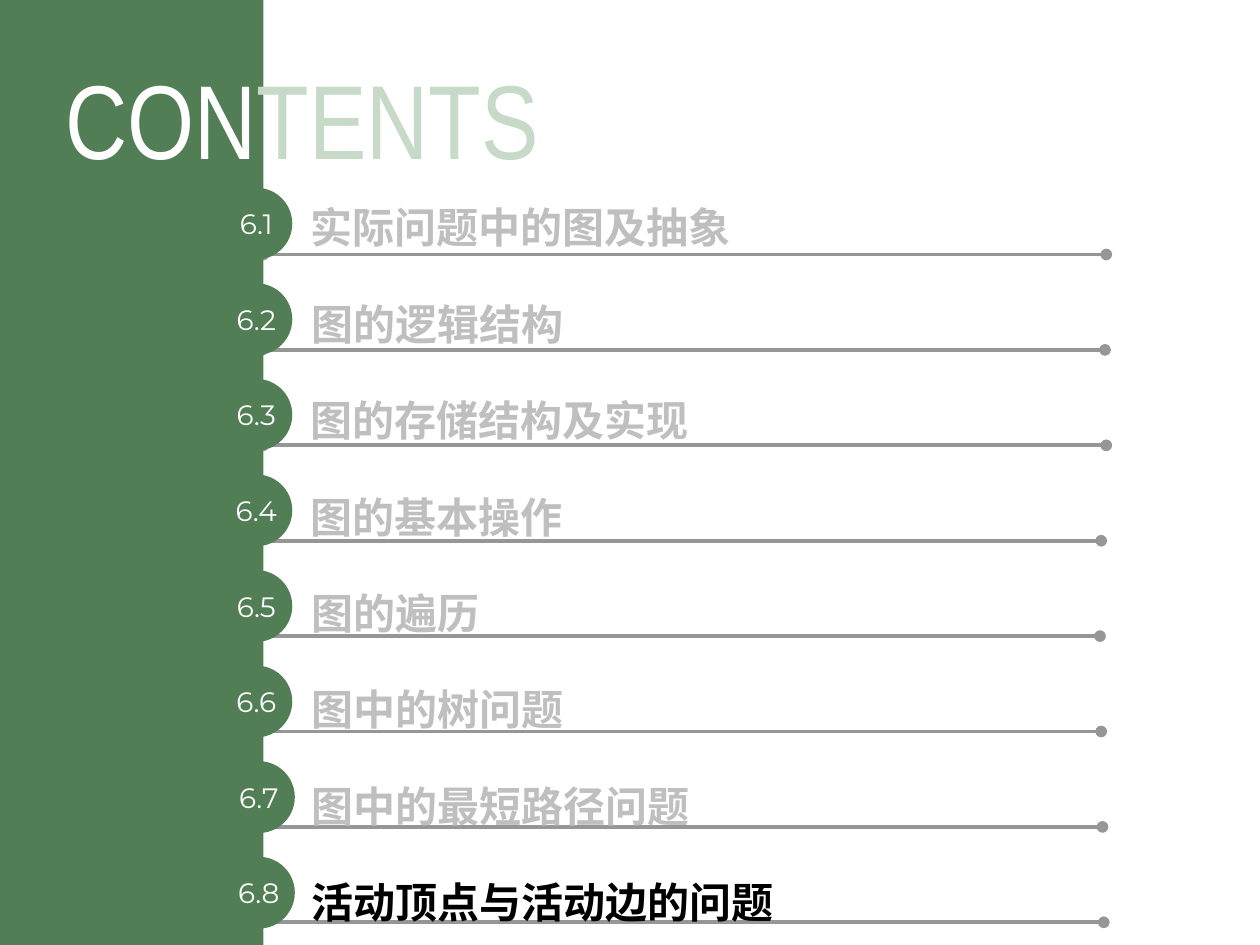
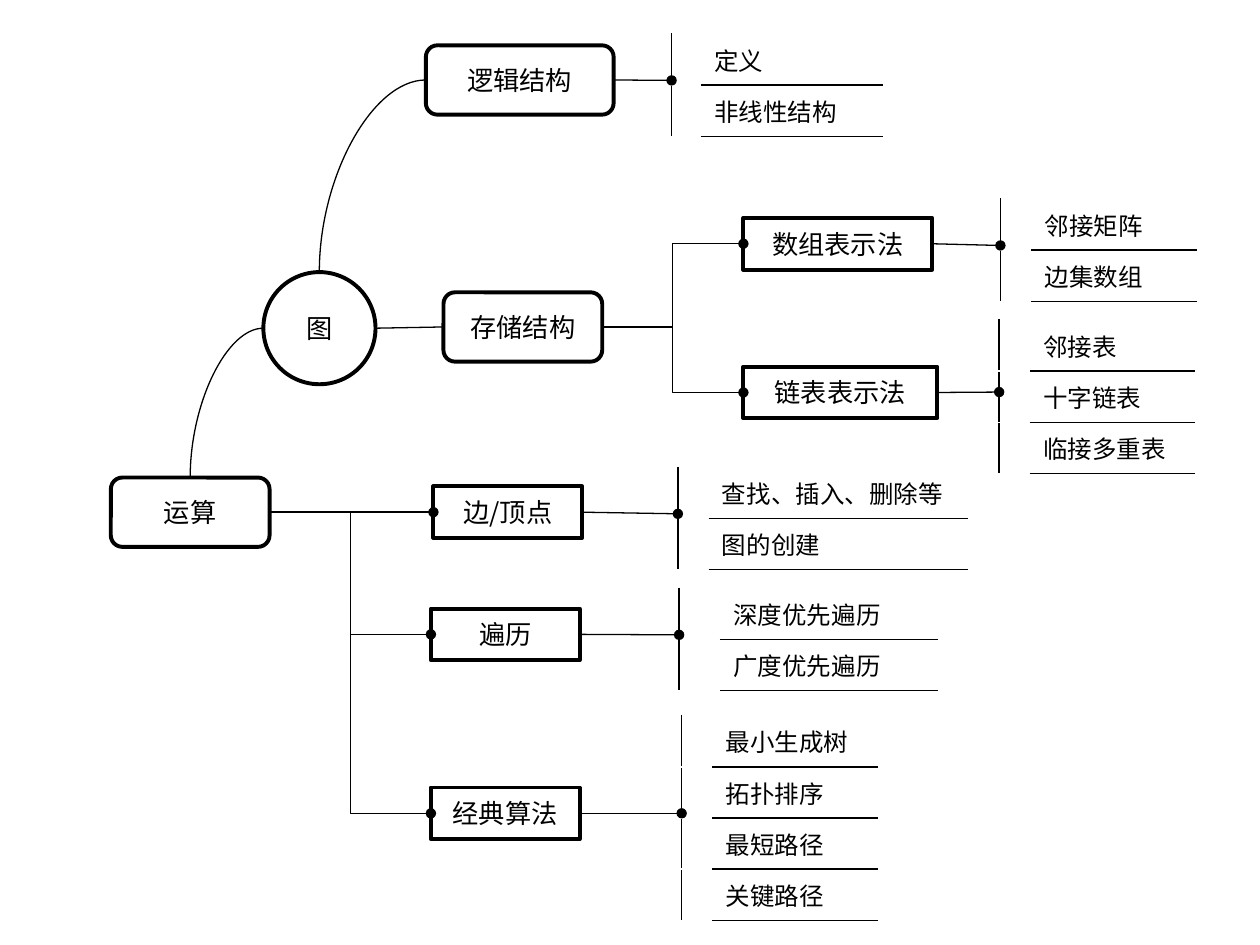
"""Build two slides on graphs: a contents page and a mind map of the chapter."""
import pptx
import pptx.dml.color
import pptx.enum.shapes
import pptx.enum.text
import pptx.oxml
import pptx.oxml.ns
import pptx.util

Inches = pptx.util.Inches
SHAPE = pptx.enum.shapes.MSO_SHAPE
CONNECTOR = pptx.enum.shapes.MSO_CONNECTOR
ALIGN = pptx.enum.text.PP_ALIGN
MIDDLE = pptx.enum.text.MSO_ANCHOR.MIDDLE

COLORS = {"green": "527E56", "pale": "C7DAC8", "white": "FFFFFF",
          "black": "000000", "muted": "BFBFBF", "rule": "969696"}
HAN = "Noto Sans CJK SC"
ARIAL, COURIER = "Arial", "Courier New"

CHAPTERS = [
    ("6.1", "实际问题中的图及抽象", 3.56, 2.09),
    ("6.2", "图的逻辑结构", 2.55, 2.08),
    ("6.3", "图的存储结构及实现", 3.24, 2.09),
    ("6.4", "图的基本操作", 2.94, 2.05),
    ("6.5", "图的遍历", 4.11, 2.04),
    ("6.6", "图中的树问题", 4.31, 2.05),
    ("6.7", "图中的最短路径问题", 4.11, 2.06),
    ("6.8", "活动顶点与活动边的问题", 4.31, 2.07),
]
CURRENT = "6.8"

TOPICS = {
    "图": (SHAPE.OVAL, 2.09, 2.16, 0.89, 0.89),
    "存储结构": (SHAPE.ROUNDED_RECTANGLE, 3.52, 2.32, 1.26, 0.55),
    "逻辑结构": (SHAPE.ROUNDED_RECTANGLE, 3.38, 0.36, 1.49, 0.55),
    "运算": (SHAPE.ROUNDED_RECTANGLE, 0.88, 3.79, 1.26, 0.55),
    "边/顶点": (SHAPE.RECTANGLE, 3.44, 3.86, 1.18, 0.41),
    "遍历": (SHAPE.RECTANGLE, 3.42, 4.83, 1.18, 0.41),
    "经典算法": (SHAPE.RECTANGLE, 3.42, 6.25, 1.18, 0.41),
    "数组表示法": (SHAPE.RECTANGLE, 5.9, 1.73, 1.5, 0.41),
    "链表表示法": (SHAPE.RECTANGLE, 5.9, 2.91, 1.54, 0.41),
}
BRANCHES = [("存储结构", "数组表示法"), ("存储结构", "链表表示法"),
            ("运算", "边/顶点"), ("运算", "经典算法"), ("运算", "遍历")]
DETAILS = [
    ("边/顶点", 5.38, 3.71, (0.25, 2.05), (COURIER, COURIER),
     ["查找、插入、删除等", "图的创建"]),
    ("逻辑结构", 5.33, 0.27, (0.23, 1.43), (ARIAL, ARIAL),
     ["定义", "非线性结构"]),
    ("数组表示法", 7.94, 1.58, (0.25, 1.3), (COURIER, ARIAL),
     ["邻接矩阵", "边集数组"]),
    ("链表表示法", 7.93, 2.54, (0.25, 1.3), (COURIER, ARIAL),
     ["邻接表", "十字链表", "临接多重表"]),
    ("遍历", 5.39, 4.67, (0.33, 1.72), (COURIER, ARIAL),
     ["深度优先遍历", "广度优先遍历"]),
    ("经典算法", 5.41, 5.68, (0.25, 1.3), (COURIER, ARIAL),
     ["最小生成树", "拓扑排序", "最短路径", "关键路径"]),
]
FIRST_ROW, NEXT_ROW = 0.23, 1.22 / 3
FRAME_MARGIN = 0.1


def rgb(name):
    return pptx.dml.color.RGBColor.from_string(COLORS[name])


def add_xml(parent, tag, **attributes):
    child = pptx.oxml.parse_xml(f"<a:{tag} {pptx.oxml.ns.nsdecls('a')}/>")
    for key, value in attributes.items():
        child.set(key, str(value))
    parent.append(child)
    return child


def write(para, text, *, font=HAN, size=15, color="black", bold=False, align=ALIGN.LEFT):
    para.alignment = align
    span = para.add_run()
    span.text = text
    span.font.name = font
    span.font.size = pptx.util.Pt(size)
    span.font.bold = bold
    span.font.color.rgb = rgb(color)
    add_xml(span.font._element, "ea", typeface=HAN)


def add_box(page, kind, left, top, width, height, fill, border=None):
    box = page.shapes.add_shape(kind, Inches(left), Inches(top), Inches(width), Inches(height))
    box.shadow.inherit = False
    box.fill.solid()
    box.fill.fore_color.rgb = rgb(fill)
    if border:
        box.line.color.rgb = rgb(border)
        box.line.width = pptx.util.Pt(2.25)
    else:
        box.line.fill.background()
    box.text_frame.word_wrap = True
    box.text_frame.vertical_anchor = MIDDLE
    return box


def add_link(page, kind, start, end, color="black", weight=0.75, head=False, tail=False):
    link = page.shapes.add_connector(kind, *start, *end)
    link.line.color.rgb = rgb(color)
    link.line.width = pptx.util.Pt(weight)
    line = link.line._get_or_add_ln()
    if head:
        add_xml(line, "headEnd", type="oval")
    if tail:
        add_xml(line, "tailEnd", type="oval")
    add_xml(link._element.spPr, "effectLst")
    return link


def side(box, index):
    """Return the middle of a side: 0 top, 1 left, 2 bottom, 3 right."""
    center, middle = box.left + box.width // 2, box.top + box.height // 2
    return [(center, box.top), (box.left, middle),
            (center, box.top + box.height), (box.left + box.width, middle)][index]


def add_arc(page, start, end):
    arc = add_link(page, CONNECTOR.CURVE, start, end)
    arc._element.spPr.find(pptx.oxml.ns.qn("a:prstGeom")).set("prst", "curvedConnector2")


def add_border(cell, edge, color="black"):
    line = add_xml(cell._tc.get_or_add_tcPr(), edge, w=pptx.util.Pt(1))
    add_xml(add_xml(line, "solidFill"), "srgbClr", val=COLORS[color])


def add_details(page, topic, left, top, widths, fonts, items):
    height = FIRST_ROW + FRAME_MARGIN + NEXT_ROW * (len(items) - 1)
    frame = page.shapes.add_table(len(items), 2, Inches(left), Inches(top),
                                  Inches(sum(widths)), Inches(height))
    table = frame.table
    table.first_row = table.horz_banding = False
    for column, width in zip(table.columns, widths):
        column.width = Inches(width)
    for index, item in enumerate(items):
        table.rows[index].height = Inches(NEXT_ROW if index else FIRST_ROW)
        spine, cell = table.cell(index, 0), table.cell(index, 1)
        add_border(spine, "lnL")
        if index:
            add_border(cell, "lnR", "white")
            add_border(cell, "lnT")
        add_border(cell, "lnB")
        spine.fill.background()
        cell.fill.background()
        cell.vertical_anchor = MIDDLE
        write(cell.text_frame.paragraphs[0], item, font=fonts[min(index, 1)], size=14)
    frame.height = Inches(height)
    end = Inches(left), Inches(top + height / 2)
    link = add_link(page, CONNECTOR.STRAIGHT, side(topic, 3), end, tail=True)
    link.begin_connect(topic, 3)


def add_contents_title(page):
    title = page.shapes.title
    title.left, title.top = Inches(-0.04), Inches(0.35)
    title.width, title.height = Inches(4.88), Inches(1.16)
    frame = title.text_frame
    frame.auto_size = pptx.enum.text.MSO_AUTO_SIZE.NONE
    frame.vertical_anchor = MIDDLE
    for text, color in (("CON", "white"), ("TENTS", "pale")):
        write(frame.paragraphs[0], text, font="Arial Narrow", size=60,
              color=color, align=ALIGN.CENTER)
    title.element.getparent().append(title.element)


def add_chapter_name(page, top, width, name, color):
    box = page.shapes.add_textbox(Inches(2.37), Inches(top), Inches(width), Inches(0.4))
    box.text_frame.word_wrap = True
    box.text_frame.vertical_anchor = MIDDLE
    write(box.text_frame.paragraphs[0], name, size=24, color=color, bold=True)


def add_badge(page, left, top, number):
    badge = add_box(page, SHAPE.OVAL, left, top, 0.57, 0.57, "green")
    frame = badge.text_frame
    frame.margin_left = frame.margin_right = frame.margin_top = frame.margin_bottom = 0
    write(frame.paragraphs[0], number, font="Montserrat", size=16,
          color="white", align=ALIGN.CENTER)


def build_contents(page):
    last = len(CHAPTERS) - 1
    for index, (number, name, width, left) in enumerate(CHAPTERS):
        y = Inches(2.02 + (7.32 - 2.02) * index / last)
        add_link(page, CONNECTOR.STRAIGHT, (Inches(left), y), (Inches(left + 6.69), y),
                 color="rule", weight=2.25, head=True, tail=True)
        add_chapter_name(page, 1.6 + (6.96 - 1.6) * index / last, width, name,
                         "black" if number == CURRENT else "muted")
    add_box(page, SHAPE.RECTANGLE, 0, 0, 2.09, 7.5, "green")
    add_contents_title(page)
    for index, (number, *_) in enumerate(CHAPTERS):
        add_badge(page, 1.75 if index < 6 else 1.77,
                  1.49 + (6.8 - 1.49) * index / last, number)


def build_mind_map(page):
    topics = {}
    for name, place in TOPICS.items():
        topics[name] = add_box(page, *place, "white", "black")
        write(topics[name].text_frame.paragraphs[0], name, align=ALIGN.CENTER)
    root, storage = topics["图"], topics["存储结构"]
    link = add_link(page, CONNECTOR.STRAIGHT, side(root, 3), side(storage, 1))
    link.end_connect(storage, 1)
    add_arc(page, side(root, 1), side(topics["运算"], 0))
    add_arc(page, side(topics["逻辑结构"], 1), side(root, 0))
    for parent, child in BRANCHES:
        add_link(page, CONNECTOR.ELBOW, side(topics[parent], 3), side(topics[child], 1), tail=True)
    for name, *details in DETAILS:
        add_details(page, topics[name], *details)


def main():
    deck = pptx.Presentation()
    deck.slide_width, deck.slide_height = Inches(10), Inches(7.5)
    build_contents(deck.slides.add_slide(deck.slide_layouts[5]))
    build_mind_map(deck.slides.add_slide(deck.slide_layouts[6]))
    deck.save("out.pptx")


if __name__ == "__main__":
    main()
